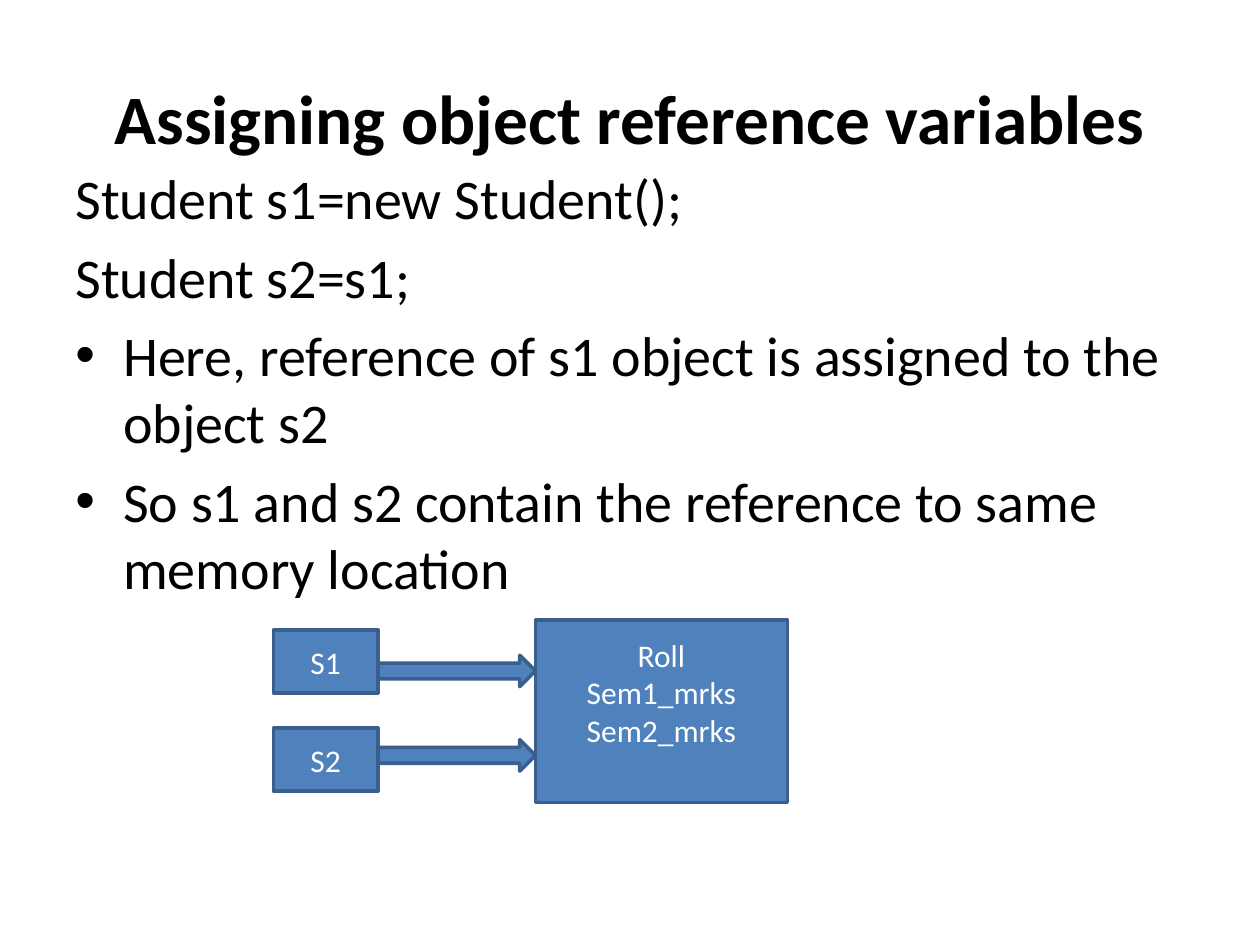
from lxml.etree import SubElement
from pptx import Presentation
from pptx.dml.color import RGBColor
from pptx.enum.shapes import MSO_SHAPE
from pptx.enum.text import MSO_ANCHOR, PP_ALIGN
from pptx.oxml.ns import qn
from pptx.util import Inches, Pt

BLACK = RGBColor(0x00, 0x00, 0x00)
WHITE = RGBColor(0xFF, 0xFF, 0xFF)
BLUE = RGBColor(0x4F, 0x81, 0xBD)
DARK_BLUE = RGBColor(0x3A, 0x5F, 0x8C)
FONT = "Calibri"

TITLE = "Assigning object reference variables"
BODY = [  # text, bulleted
    ("Student s1=new Student();", False),
    ("Student s2=s1;", False),
    ("Here, reference of s1 object is assigned to the object s2", True),
    ("So s1 and s2 contain the reference to same memory location", True),
]
REFERENCES = [("S1", 5, 5.2), ("S2", 5.78, 5.87)]  # name, box top, arrow top
FIELDS = ["Roll", "Sem1_mrks", "Sem2_mrks"]

REFERENCE_LEFT, REFERENCE_WIDTH, REFERENCE_HEIGHT = 2.17, 0.83, 0.5
MEMORY_LEFT, MEMORY_TOP, MEMORY_WIDTH, MEMORY_HEIGHT = 4.25, 4.92, 2, 1.45
ARROW_LEFT = REFERENCE_LEFT + REFERENCE_WIDTH
ARROW_HEIGHT = 0.25
BULLET_INDENT = Inches(0.38)


def write(frame, lines, size, color, align, bold=False):
    frame.word_wrap = True
    for number, line in enumerate(lines):
        paragraph = frame.add_paragraph() if number else frame.paragraphs[0]
        paragraph.text = line
        paragraph.alignment = align
        font = paragraph.font
        font.name, font.size, font.bold = FONT, Pt(size), bold
        font.color.rgb = color


def add_bullet(paragraph):
    properties = paragraph._p.get_or_add_pPr()
    properties.set("marL", str(BULLET_INDENT))
    properties.set("indent", str(-BULLET_INDENT))
    SubElement(properties, qn("a:buFont")).set("typeface", "Arial")
    SubElement(properties, qn("a:buChar")).set("char", "•")
    # The schema wants bullet settings ahead of the default run settings.
    properties.append(properties.find(qn("a:defRPr")))


def add_block(slide, kind, left, top, width, height, lines=()):
    block = slide.shapes.add_shape(
        kind, Inches(left), Inches(top), Inches(width), Inches(height))
    block.shadow.inherit = False
    block.fill.solid()
    block.fill.fore_color.rgb = BLUE
    block.line.color.rgb = DARK_BLUE
    block.line.width = Pt(2)
    block.text_frame.vertical_anchor = MSO_ANCHOR.MIDDLE
    write(block.text_frame, lines, 18, WHITE, PP_ALIGN.CENTER)
    return block


def main():
    presentation = Presentation()
    presentation.slide_width, presentation.slide_height = Inches(10), Inches(7.5)
    slide = presentation.slides.add_slide(presentation.slide_layouts[6])

    title = slide.shapes.add_textbox(
        Inches(0.5), Inches(0.3), Inches(9), Inches(1.25)).text_frame
    title.vertical_anchor = MSO_ANCHOR.MIDDLE
    write(title, [TITLE], 39.6, BLACK, PP_ALIGN.CENTER, bold=True)

    body = slide.shapes.add_textbox(
        Inches(0.5), Inches(1.25), Inches(9), Inches(5.45)).text_frame
    write(body, [text for text, _ in BODY], 32, BLACK, PP_ALIGN.LEFT)
    for paragraph, (_, bulleted) in zip(body.paragraphs, BODY):
        paragraph.space_before = Pt(6.4)
        if bulleted:
            add_bullet(paragraph)

    for name, box_top, _ in REFERENCES:
        add_block(slide, MSO_SHAPE.RECTANGLE, REFERENCE_LEFT, box_top,
                  REFERENCE_WIDTH, REFERENCE_HEIGHT, [name])
    memory = add_block(slide, MSO_SHAPE.RECTANGLE, MEMORY_LEFT, MEMORY_TOP,
                       MEMORY_WIDTH, MEMORY_HEIGHT, FIELDS)
    memory.text_frame.margin_bottom = Inches(0.35)
    for _, _, arrow_top in REFERENCES:
        add_block(slide, MSO_SHAPE.RIGHT_ARROW, ARROW_LEFT, arrow_top,
                  MEMORY_LEFT - ARROW_LEFT, ARROW_HEIGHT)

    presentation.save("out.pptx")


if __name__ == "__main__":
    main()
